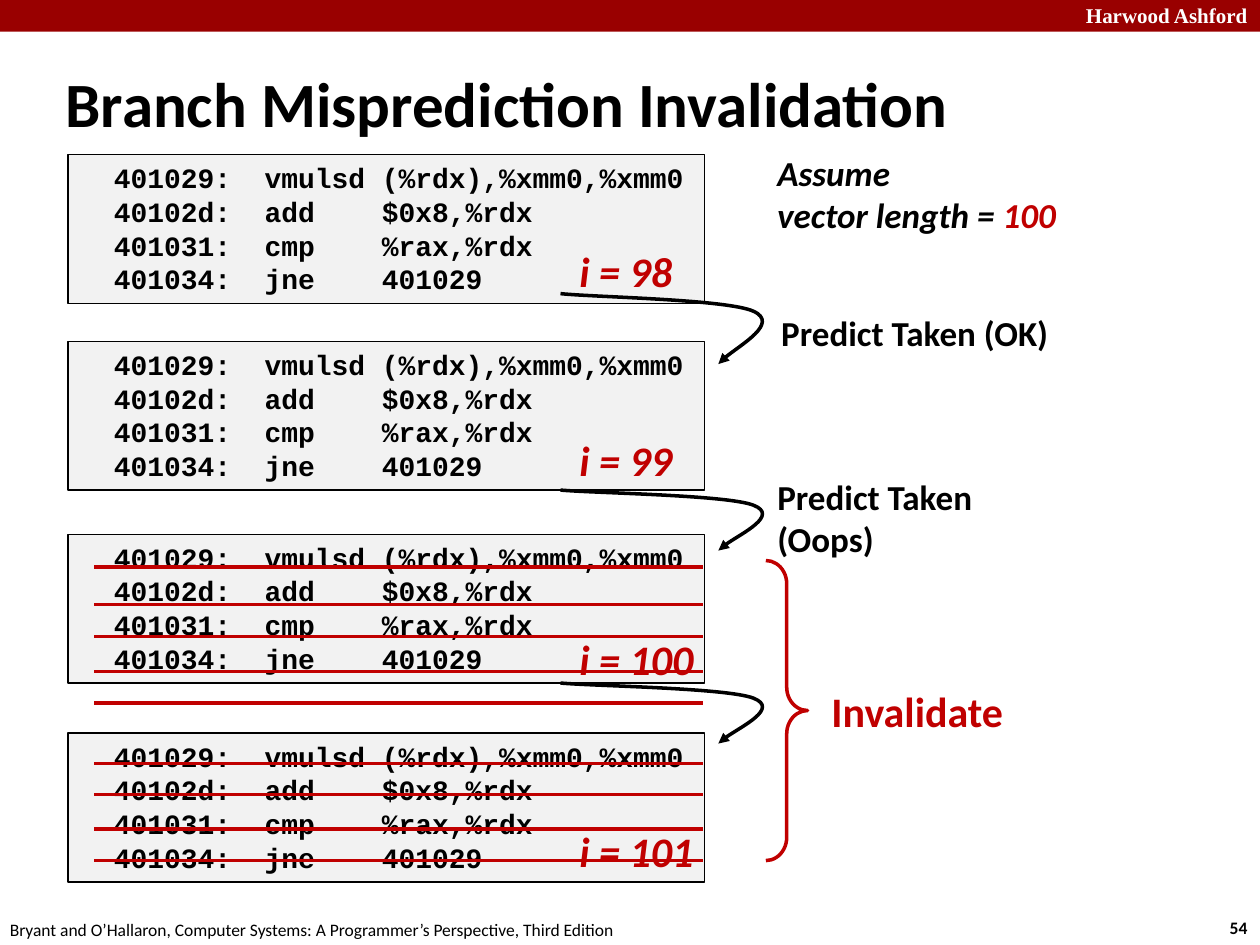
import dataclasses

import lxml.etree
import pptx
import pptx.dml.color
import pptx.enum.shapes
import pptx.enum.text
import pptx.oxml.ns
import pptx.util
from pptx.util import Cm

ALIGN = pptx.enum.text.PP_ALIGN
ANCHOR = pptx.enum.text.MSO_ANCHOR
SHAPES = pptx.enum.shapes.MSO_SHAPE


@dataclasses.dataclass(frozen=True)
class Theme:
    """Colours, fonts and type sizes of the slide."""
    ink: str = "000000"
    paper: str = "FFFFFF"
    banner: str = "990000"
    accent: str = "C00000"
    panel: str = "F2F2F2"
    body_font: str = "Calibri"
    code_font: str = "Courier New"
    banner_font: str = "Times New Roman"
    title_size: int = 36
    counter_size: int = 24
    note_size: int = 20
    code_size: int = 16
    banner_size: int = 12
    footer_size: int = 10
    stroke: float = 2
    border: float = 0.75


@dataclasses.dataclass(frozen=True)
class Box:
    """A rectangle in centimetres."""
    left: float
    top: float
    width: float
    height: float

    def inner(self, left, top, width, height):
        """Return a box placed relative to this one."""
        return Box(self.left + left, self.top + top, width, height)

    def lengths(self):
        """Return left, top, width and height as slide lengths."""
        return Cm(self.left), Cm(self.top), Cm(self.width), Cm(self.height)


THEME = Theme()
CODE = (
    "  401029:  vmulsd (%rdx),%xmm0,%xmm0",
    "  40102d:  add    $0x8,%rdx",
    "  401031:  cmp    %rax,%rdx",
    "  401034:  jne    401029",
)
CURVE = ((0, 0), (0.15, 0.05), (0.76, 0.08), (0.88, 0.25),
         (1, 0.42), (0.75, 0.86), (0.72, 1))


def rgb(value):
    """Turn a hex string into a colour."""
    return pptx.dml.color.RGBColor.from_string(value)


def write_text(shape, lines, size, font=THEME.body_font, color=THEME.ink, bold=True,
               italic=False, align=ALIGN.LEFT, anchor=ANCHOR.TOP, wrap=False):
    """Fill a shape with lines, each a string or a list of (text, colour) runs."""
    frame = shape.text_frame
    frame.word_wrap = wrap
    frame.vertical_anchor = anchor
    for index, line in enumerate(lines):
        paragraph = frame.add_paragraph() if index else frame.paragraphs[0]
        paragraph.alignment = align
        for text, run_color in [(line, color)] if isinstance(line, str) else line:
            run = paragraph.add_run()
            run.text = text
            run.font.name = font
            run.font.size = pptx.util.Pt(size)
            run.font.bold = bold
            run.font.italic = italic
            run.font.color.rgb = rgb(run_color)


def add_label(slide, box, *lines, **text_format):
    """Add a text box holding the given lines."""
    write_text(slide.shapes.add_textbox(*box.lengths()), lines, **text_format)


def draw_line(shape, color, width=THEME.stroke):
    """Set the outline colour and width of a shape or connector."""
    shape.line.color.rgb = rgb(color)
    shape.line.width = pptx.util.Pt(width)


def add_panel(slide, box, color):
    """Add a filled rectangle without outline or shadow."""
    panel = slide.shapes.add_shape(SHAPES.RECTANGLE, *box.lengths())
    panel.shadow.inherit = False
    panel.fill.solid()
    panel.fill.fore_color.rgb = rgb(color)
    panel.line.fill.background()
    return panel


def add_banner(slide, box):
    """Add the banner along the top edge."""
    add_panel(slide, box, THEME.banner)
    add_label(slide, box.inner(box.width - 6, -0.08, 6, 0.76), "Harwood Ashford",
              size=THEME.banner_size, font=THEME.banner_font, color=THEME.paper,
              align=ALIGN.RIGHT, wrap=True)


def add_footer(slide, box):
    """Add the source line and the slide number."""
    add_label(slide, box.inner(-0.05, 0.05, 12.9, 0.69),
              "Bryant and O’Hallaron, Computer Systems: A Programmer’s Perspective, "
              "Third Edition", size=THEME.footer_size, bold=False)
    add_label(slide, box.inner(24.54, 0, 0.94, 0.69), "54", size=THEME.footer_size)


def add_title(slide, box):
    """Place and format the title placeholder."""
    title = slide.shapes.title
    title.left, title.top, title.width, title.height = box.lengths()
    write_text(title, ["Branch Misprediction Invalidation"], size=THEME.title_size,
               anchor=ANCHOR.MIDDLE, wrap=True)


def add_strike(slide, box, offset):
    """Add a strike-through line across a code block."""
    y = Cm(box.top + offset)
    strike = slide.shapes.add_connector(
        pptx.enum.shapes.MSO_CONNECTOR.STRAIGHT,
        Cm(box.left + 0.53), y, Cm(box.left + box.width - 0.03), y)
    draw_line(strike, THEME.accent)
    properties = strike.element.find(pptx.oxml.ns.qn("p:spPr"))
    lxml.etree.SubElement(properties, pptx.oxml.ns.qn("a:effectLst"))


def add_code_block(slide, box, counter, counter_top, strikes):
    """Add one loop iteration with its counter and strike-through lines."""
    panel = add_panel(slide, box, THEME.panel)
    draw_line(panel, THEME.ink, THEME.border)
    write_text(panel, CODE, size=THEME.code_size, font=THEME.code_font, wrap=True)
    counter_width = 2.82 if counter >= 100 else 2.39
    add_label(slide, box.inner(10.06, counter_top, counter_width, 1.27), f"i = {counter}",
              size=THEME.counter_size, color=THEME.accent, italic=True)
    for offset in strikes:
        add_strike(slide, box, offset)


def add_jump_arrow(slide, box):
    """Add a curved arrow that leads to the next iteration."""
    points = [(Cm(box.left + x * box.width), Cm(box.top + y * box.height))
              for x, y in CURVE]
    builder = slide.shapes.build_freeform(*points[0])
    builder.add_line_segments(points[1:], close=False)
    arrow = builder.convert_to_shape()
    arrow.shadow.inherit = False
    arrow.fill.background()
    draw_line(arrow, THEME.ink)
    segments = arrow.element.xpath(".//a:lnTo")
    for start in range(0, len(segments), 3):
        curve = lxml.etree.SubElement(segments[start].getparent(),
                                      pptx.oxml.ns.qn("a:cubicBezTo"))
        for segment in segments[start:start + 3]:
            curve.append(segment[0])
            segment.getparent().remove(segment)
    outline = arrow.element.xpath("./p:spPr/a:ln")[0]
    lxml.etree.SubElement(outline, pptx.oxml.ns.qn("a:tailEnd"), type="triangle")


def add_notes_column(slide, box):
    """Add the remarks and the brace to the right of the code."""
    add_label(slide, box.inner(0, 0, 6.17, 1.96), "Assume",
              [("vector length = ", THEME.ink), ("100", THEME.accent)],
              size=THEME.note_size, italic=True)
    add_label(slide, box.inner(0.08, 3.23, 5.94, 1.12), "Predict Taken (OK)",
              size=THEME.note_size)
    add_label(slide, box.inner(0, 6.55, 4.47, 1.96), "Predict Taken", "(Oops)",
              size=THEME.note_size)
    brace = slide.shapes.add_shape(SHAPES.RIGHT_BRACE,
                                   *box.inner(0.02, 8.38, 0.84, 6.05).lengths())
    brace.shadow.inherit = False
    brace.fill.background()
    brace.adjustments[0] = 0.56
    draw_line(brace, THEME.accent)
    add_label(slide, box.inner(1.09, 10.77, 4.01, 1.27), "Invalidate",
              size=THEME.counter_size, color=THEME.accent)


def main():
    """Build the slide and save it."""
    presentation = pptx.Presentation()
    presentation.slide_width, presentation.slide_height = Cm(25.4), Cm(19.05)
    slide = presentation.slides.add_slide(presentation.slide_layouts[5])
    add_banner(slide, Box(0, 0, 25.4, 0.64))
    add_footer(slide, Box(0, 18.36, 25.4, 0.69))
    add_title(slide, Box(1.07, 1.27, 22.07, 1.6))
    iterations = (
        (3.12, 1.71, ()),
        (6.88, 1.76, ()),
        (10.77, 1.88, (0.66, 1.42, 2.06, 2.77, 3.4)),
        (14.78, 1.73, (0.61, 1.24, 1.93, 2.57)),
    )
    for counter, (top, counter_top, strikes) in enumerate(iterations, start=98):
        add_code_block(slide, Box(1.37, top, 12.83, 3), counter, counter_top, strikes)
    for top, height in ((5.92, 1.42), (9.88, 1.22), (13.77, 1.22)):
        add_jump_arrow(slide, Box(11.3, top, 4.42, height))
    add_notes_column(slide, Box(15.42, 2.92, 6.17, 14.43))
    presentation.save("out.pptx")


if __name__ == "__main__":
    main()
